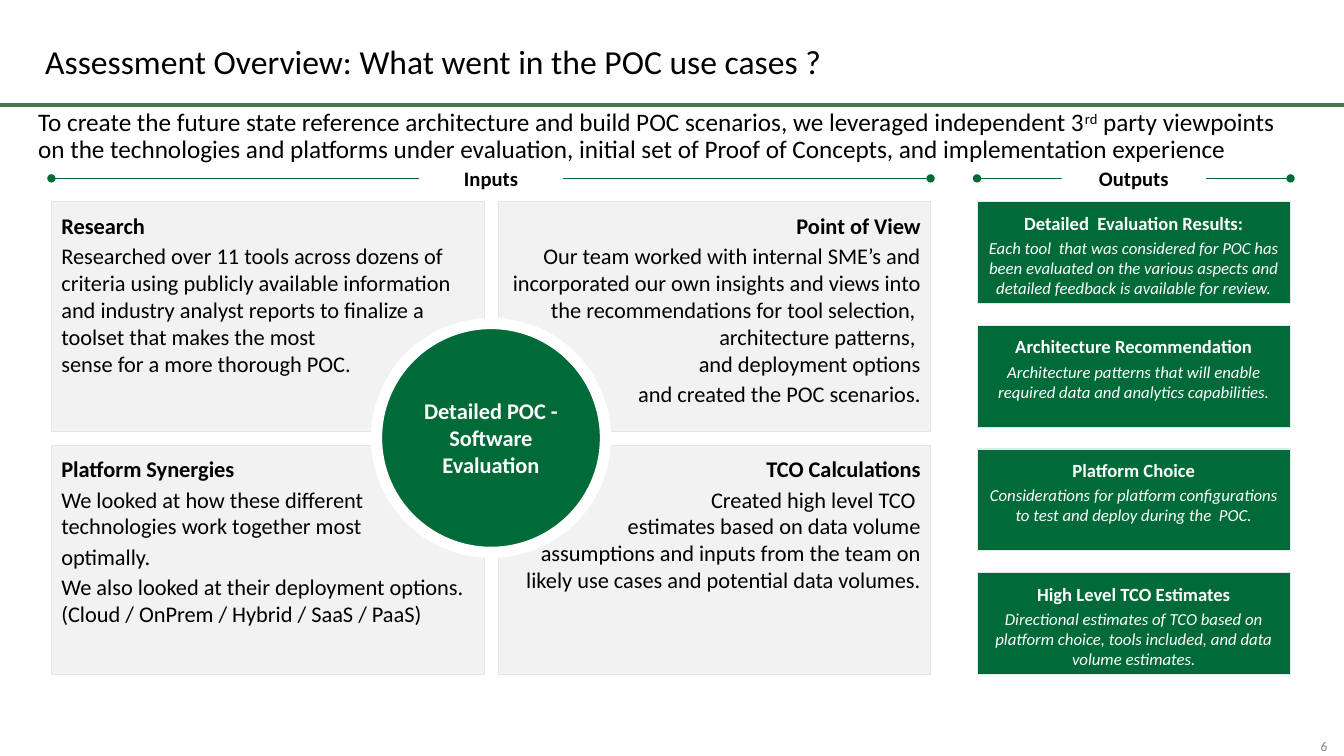
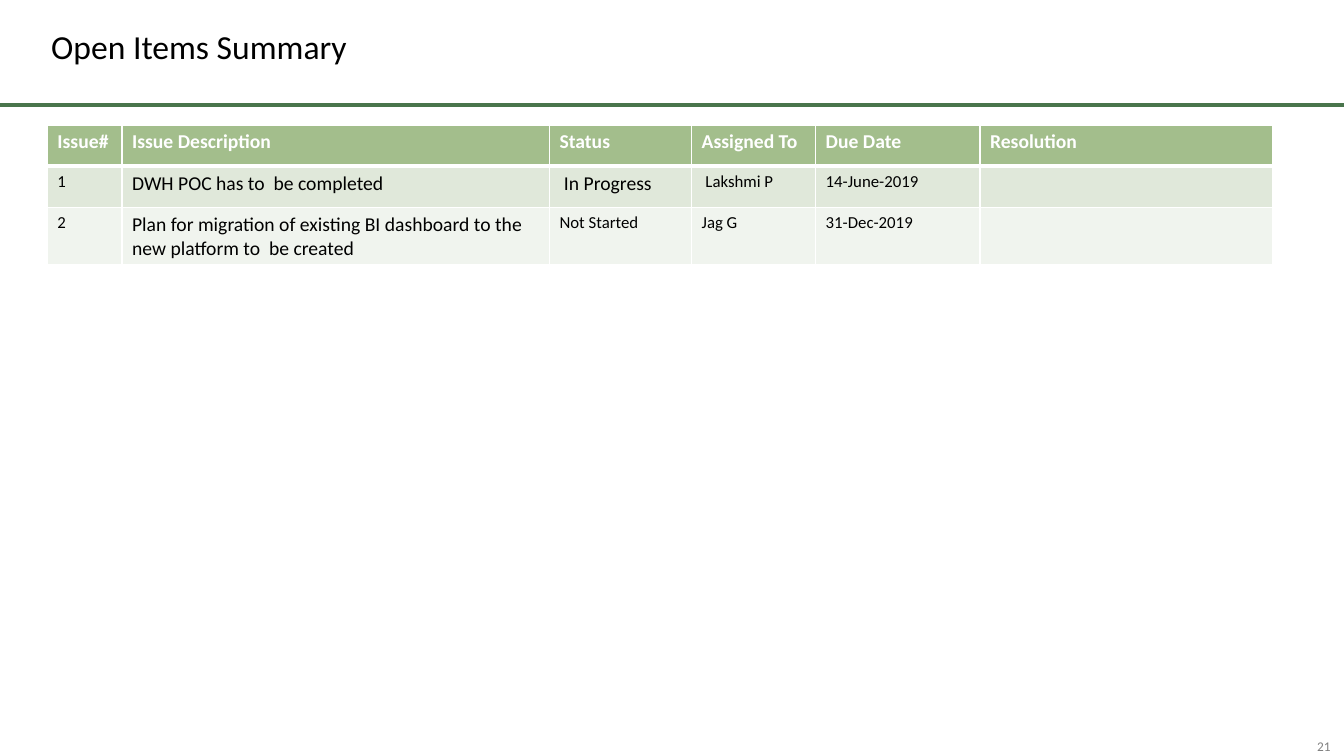
from lxml import etree
from pptx import Presentation
from pptx.dml.color import RGBColor
from pptx.enum import shapes, text
from pptx.oxml import ns
from pptx.util import Inches, Pt

FONT = "Calibri"
COLORS = {
    "text": "000000", "white": "FFFFFF", "green": "006A38", "rule": "49754C",
    "card": "F2F2F2", "edge": "E4E7E7", "number": "808080",
    "header": "A3BE8C", "odd": "E0E8DA", "even": "F0F4EE",
}
LEFT, CENTER, RIGHT = text.PP_ALIGN.LEFT, text.PP_ALIGN.CENTER, text.PP_ALIGN.RIGHT
TOP, MIDDLE = text.MSO_ANCHOR.TOP, text.MSO_ANCHOR.MIDDLE
RECTANGLE, OVAL = shapes.MSO_SHAPE.RECTANGLE, shapes.MSO_SHAPE.OVAL

INPUT_CARDS = [
    [
        ("Research", LEFT, [
            "Researched over 11 tools across dozens of criteria using publicly available "
            "information and industry analyst reports to finalize a \n"
            "toolset that makes the most \nsense for a more thorough POC."]),
        ("Point of View", RIGHT, [
            "Our team worked with internal SME’s and incorporated our own insights and views "
            "into the recommendations for tool selection,  architecture patterns, \n"
            "and deployment options",
            "and created the POC scenarios."]),
    ],
    [
        ("Platform Synergies", LEFT, [
            "We looked at how these different\ntechnologies work together most",
            "optimally.",
            "We also looked at their deployment options. (Cloud / OnPrem / Hybrid / SaaS / PaaS)"]),
        ("TCO Calculations", RIGHT, [
            "Created high level TCO \nestimates based on data volume\n"
            "assumptions and inputs from the team on\n"
            "likely use cases and potential data volumes."]),
    ],
]
OUTPUT_CARDS = [
    ("Detailed  Evaluation Results:",
     "Each tool  that was considered for POC has been evaluated on the various aspects "
     "and detailed feedback is available for review."),
    ("Architecture Recommendation",
     "Architecture patterns that will enable required data and analytics capabilities."),
    ("Platform Choice",
     "Considerations for platform configurations to test and deploy during the  POC."),
    ("High Level TCO Estimates",
     "Directional estimates of TCO based on platform choice, tools included, and data "
     "volume estimates."),
]
ISSUE_COLUMNS = [
    ("Issue#", 0.74), ("Issue Description", 4.24), ("Status", 1.41),
    ("Assigned To", 1.23), ("Due Date", 1.63), ("Resolution", 2.9),
]
ISSUES = [
    [("1", 12), ("DWH POC has to  be completed", 14), (" In Progress", 14),
     (" Lakshmi P", 12), ("14-June-2019", 12), ("", 12)],
    [("2", 12),
     ("Plan for migration of existing BI dashboard to the new platform to  be created", 14),
     ("Not Started", 12), ("Jag G", 12), ("31-Dec-2019", 12), ("", 12)],
]
ISSUE_ROW_HEIGHTS = [0.41, 0.41, 0.57]


def rgb(name):
    """Return the palette colour of that name."""
    return RGBColor.from_string(COLORS[name])


def write(para, words, size, color="text", bold=False, italic=False):
    """Add styled runs to a paragraph, with a line break at each newline."""
    spans = []
    for index, line in enumerate(words.split("\n")):
        if index:
            para.add_line_break()
        span = para.add_run()
        span.text = line
        span.font.name, span.font.size = FONT, Pt(size)
        span.font.bold, span.font.italic = bold, italic
        span.font.color.rgb = rgb(color)
        spans.append(span)
    return spans


def set_frame(box, anchor=TOP, inset=(0.1, 0.05)):
    """Set wrapping, anchor and insets, and return the first paragraph."""
    frame = box.text_frame
    frame.word_wrap = True
    frame.vertical_anchor = anchor
    frame.margin_left = frame.margin_right = Inches(inset[0])
    frame.margin_top = frame.margin_bottom = Inches(inset[1])
    return frame.paragraphs[0]


def add_text(page, area, anchor=TOP, inset=(0.1, 0.05)):
    """Add a text box and return its first paragraph."""
    return set_frame(page.shapes.add_textbox(*map(Inches, area)), anchor, inset)


def add_block(page, kind, area, fill, edge=None, weight=0.5):
    """Add a flat filled shape."""
    box = page.shapes.add_shape(kind, *map(Inches, area))
    box.shadow.inherit = False
    box.fill.solid()
    box.fill.fore_color.rgb = rgb(fill)
    if edge:
        box.line.color.rgb = rgb(edge)
        box.line.width = Pt(weight)
    else:
        box.line.fill.background()
    return box


def add_rule(page, left, right, top, color, weight, dots=False):
    """Add a level line, with round ends when dots is set."""
    rule = page.shapes.add_connector(
        shapes.MSO_CONNECTOR.STRAIGHT, Inches(left), Inches(top), Inches(right), Inches(top))
    rule.line.color.rgb = rgb(color)
    rule.line.width = Pt(weight)
    if dots:
        outline = rule.line._get_or_add_ln()
        for end in ("a:headEnd", "a:tailEnd"):
            etree.SubElement(outline, ns.qn(end), type="oval")
    etree.SubElement(rule._element.spPr, ns.qn("a:effectLst"))


def add_page(deck, title, title_area, number):
    """Add a blank slide with title, green rule and page number."""
    page = deck.slides.add_slide(deck.slide_layouts[6])
    add_rule(page, 0, 13.33, 1.04, "rule", 2.75)
    write(add_text(page, title_area, MIDDLE), title, 24)
    para = add_text(page, (12.92, 7.32, 0.42, 0.17), MIDDLE, (0, 0))
    para.alignment = CENTER
    write(para, number, 9.5, "number")
    return page


def add_intro(page, area):
    """Add the lead sentence under the title rule."""
    para = add_text(page, area)
    para.line_spacing = 0.9
    write(para, "To create the future state reference architecture and build POC scenarios, "
                "we leveraged independent 3", 18)
    ordinal = write(para, "rd", 18)[0]
    ordinal.font._element.set("baseline", "30000")
    write(para, " party viewpoints on the technologies and platforms under evaluation, "
                "initial set of Proof of Concepts, and implementation experience", 18)


def add_section_label(page, left, width, label):
    """Add a dotted-end line with a label over its middle."""
    top, label_width, label_height = 1.77, 1.43, 0.35
    add_rule(page, left, left + width, top, "green", 0.5, dots=True)
    box = add_block(page, RECTANGLE, (left + (width - label_width) / 2, top - label_height / 2,
                                      label_width, label_height), "white")
    para = set_frame(box)
    para.alignment = CENTER
    write(para, label, 14.7, bold=True)


def add_card(page, area, fill, heading, bodies, align, sizes, color, italic):
    """Add a box with a bold heading and body paragraphs."""
    box = add_block(page, RECTANGLE, area, fill, "edge")
    para = set_frame(box, inset=(0.1, 0.1))
    para.alignment = align
    para.space_after = Pt(1.3)
    write(para, heading, sizes[0], color, bold=True)
    for body in bodies:
        para = box.text_frame.add_paragraph()
        para.alignment = align
        para.space_before = para.space_after = Pt(1.3)
        write(para, body, sizes[1], color, italic=italic)


def add_inputs(page, left, top, width, height):
    """Add the two by two grid of inputs with the circle at its centre."""
    gap = 0.14
    card_width, card_height = (width - gap) / 2, (height - gap) / 2
    for row, cards in enumerate(INPUT_CARDS):
        for column, (heading, align, bodies) in enumerate(cards):
            area = (left + column * (card_width + gap), top + row * (card_height + gap),
                    card_width, card_height)
            add_card(page, area, "card", heading, bodies, align, (16, 16), "text", False)
    size = 2.27
    circle = add_block(page, OVAL, (left + (width - size) / 2, top + (height - size) / 2,
                                    size, size), "green", "white", 8)
    para = set_frame(circle, MIDDLE, (0.1, 0.1))
    para.alignment = CENTER
    write(para, "Detailed POC - Software Evaluation", 16, "white", bold=True)


def add_outputs(page, left, top, width, height):
    """Add the column of equally spaced outputs."""
    card_height = 1.01
    pitch = (height - card_height) / (len(OUTPUT_CARDS) - 1)
    for index, (heading, body) in enumerate(OUTPUT_CARDS):
        add_card(page, (left, top + index * pitch, width, card_height), "green",
                 heading, [body], CENTER, (13.3, 12), "white", True)


def set_borders(cell, bottom):
    """Give a cell white borders, the lower one of the given weight."""
    properties = cell._tc.get_or_add_tcPr()
    sides = (("a:lnL", 1), ("a:lnR", 1), ("a:lnT", 1), ("a:lnB", bottom))
    for index, (side, weight) in enumerate(sides):
        edge = etree.Element(ns.qn(side), w=str(Pt(weight)))
        fill = etree.SubElement(edge, ns.qn("a:solidFill"))
        etree.SubElement(fill, ns.qn("a:srgbClr"), val=COLORS["white"])
        properties.insert(index, edge)


def add_issue_table(page, left, top):
    """Add the table of open issues."""
    widths = [width for _, width in ISSUE_COLUMNS]
    rows = [[(name, 14) for name, _ in ISSUE_COLUMNS]] + ISSUES
    table = page.shapes.add_table(
        len(rows), len(widths), Inches(left), Inches(top),
        Inches(sum(widths)), Inches(sum(ISSUE_ROW_HEIGHTS))).table
    table.horz_banding = False
    for column, width in zip(table.columns, widths):
        column.width = Inches(width)
    for index, (row, height) in enumerate(zip(rows, ISSUE_ROW_HEIGHTS)):
        table.rows[index].height = Inches(height)
        header = index == 0
        fill = "header" if header else ("even", "odd")[index % 2]
        for column, (words, size) in enumerate(row):
            cell = table.cell(index, column)
            cell.fill.solid()
            cell.fill.fore_color.rgb = rgb(fill)
            set_borders(cell, 3 if header else 1)
            if words:
                write(cell.text_frame.paragraphs[0], words, size,
                      "white" if header else "text", bold=header)


def add_overview(deck):
    """Add the slide on the inputs and outputs of the assessment."""
    page = add_page(deck, "Assessment Overview: What went in the POC use cases ?",
                    (0.35, 0.36, 8.78, 0.5), "6")
    inputs = (0.51, 2, 8.72, 4.69)
    outputs = (9.69, 2, 3.11, 4.69)
    add_inputs(page, *inputs)
    add_outputs(page, *outputs)
    add_section_label(page, inputs[0], inputs[2], "Inputs")
    add_section_label(page, outputs[0], outputs[2], "Outputs")
    add_intro(page, (0.28, 1.04, 12.61, 0.65))


def add_open_items(deck):
    """Add the slide with the open issues."""
    page = add_page(deck, "Open Items Summary", (0.41, 0.03, 12.58, 0.85), "21")
    add_issue_table(page, 0.47, 1.24)


def main():
    """Build and save the deck."""
    deck = Presentation()
    deck.slide_width, deck.slide_height = Inches(13.33), Inches(7.5)
    add_overview(deck)
    add_open_items(deck)
    deck.save("out.pptx")


if __name__ == "__main__":
    main()
